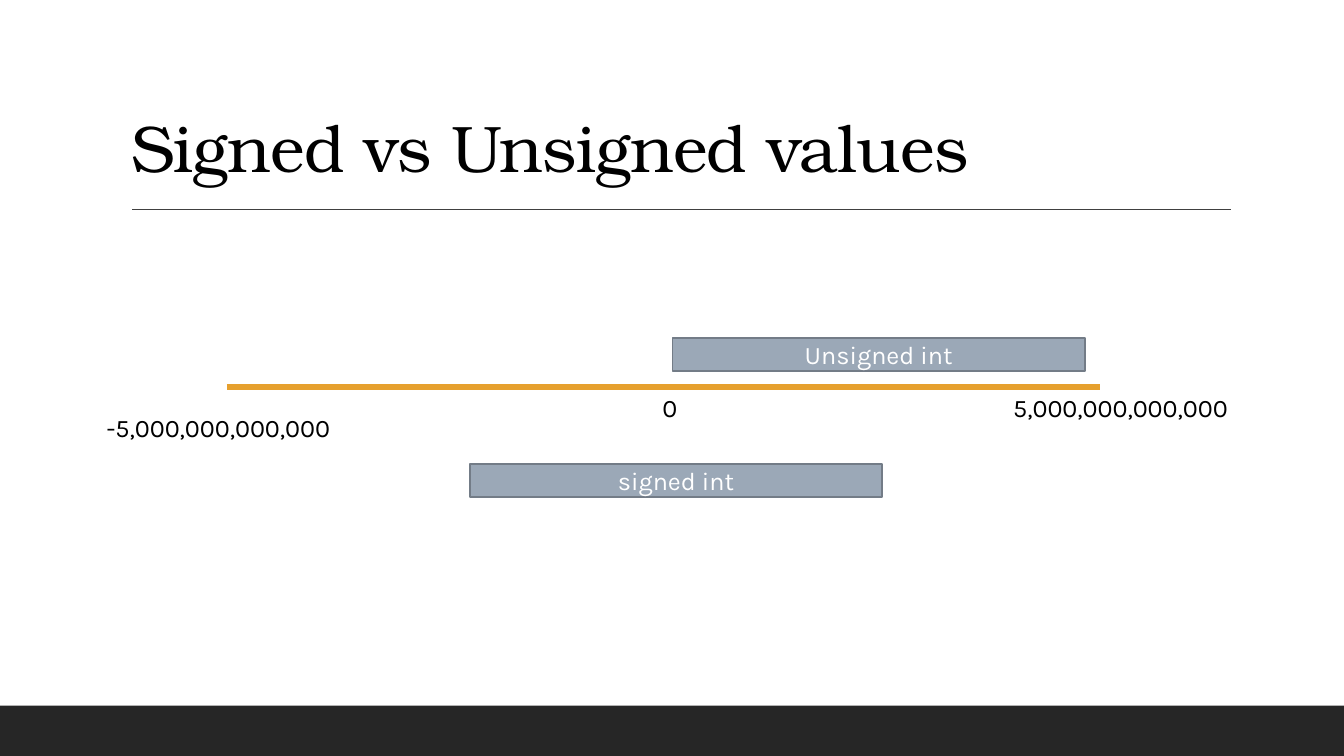
from dataclasses import dataclass

from lxml import etree
from pptx import Presentation
from pptx import util as u
from pptx.dml.color import RGBColor
from pptx.enum import shapes, text
from pptx.oxml.ns import qn

BLACK = RGBColor(0x00, 0x00, 0x00)
WHITE = RGBColor(0xFF, 0xFF, 0xFF)
CHARCOAL = RGBColor(0x26, 0x26, 0x26)
RULE_GREY = RGBColor(0x40, 0x40, 0x40)
AXIS_ORANGE = RGBColor(0xE6, 0xA0, 0x2E)
BAR_FILL = RGBColor(0x9B, 0xA8, 0xB7)
BAR_EDGE = RGBColor(0x73, 0x7C, 0x87)
HEADING_FONT = "TeX Gyre Bonum"
BODY_FONT = "Karla"


@dataclass
class Box:
    left: int
    top: int
    width: int
    height: int

    def inner(self, left, top, width, height=0):
        """Return an inner box given in percent of this one."""
        return Box(
            round(self.left + self.width * left / 100),
            round(self.top + self.height * top / 100),
            round(self.width * width / 100),
            round(self.height * height / 100),
        )

    @property
    def frame(self):
        return self.left, self.top, self.width, self.height


def write(shape, wording, size=18, font=BODY_FONT, color=BLACK,
          align=text.PP_ALIGN.LEFT, anchor=text.MSO_ANCHOR.TOP,
          line_spacing=None, tracking=None):
    frame = shape.text_frame
    frame.word_wrap = True
    frame.vertical_anchor = anchor
    para = frame.paragraphs[0]
    para.alignment = align
    para.line_spacing = line_spacing
    span = para.add_run()
    span.text = wording
    span.font.size = u.Pt(size)
    span.font.name = font
    span.font.color.rgb = color
    if tracking is not None:
        span._r.get_or_add_rPr().set("spc", str(round(tracking * 100)))


def add_rule(page, box, color, weight):
    """Draw a horizontal line along the top of the box."""
    rule = page.shapes.add_connector(
        shapes.MSO_CONNECTOR.STRAIGHT,
        box.left, box.top, box.left + box.width, box.top)
    rule.line.color.rgb = color
    rule.line.width = u.Pt(weight)
    etree.SubElement(rule._element.spPr, qn("a:effectLst"))


def add_bar(page, box, fill, edge=None):
    bar = page.shapes.add_shape(shapes.MSO_SHAPE.RECTANGLE, *box.frame)
    bar.shadow.inherit = False
    bar.fill.solid()
    bar.fill.fore_color.rgb = fill
    if edge is None:
        bar.line.fill.background()
    else:
        bar.line.color.rgb = edge
        bar.line.width = u.Pt(1.25)
    return bar


def add_heading(page, box):
    add_rule(page, box.inner(9.83, 27.73, 81.77), RULE_GREY, 1)
    title = page.shapes.title
    title.left, title.top, title.width, title.height = box.inner(9, 4.13, 82.5, 21.2).frame
    write(title, "Signed vs Unsigned values", size=47, font=HEADING_FONT,
          anchor=text.MSO_ANCHOR.BOTTOM, line_spacing=0.9, tracking=-0.5)
    title.text_frame.auto_size = text.MSO_AUTO_SIZE.NONE


def add_number_line(page, box):
    """Draw the axis with its values and the range of each integer type."""
    axis_top = 31.01
    add_rule(page, box.inner(0, axis_top, 100), AXIS_ORANGE, 4.5)
    values = [
        ("-5,000,000,000,000", -14.9, 43.67, 48.5),
        ("5,000,000,000,000", 88.91, axis_top, 39),
        ("0", 48.73, axis_top, 13.16),
    ]
    for wording, left, top, width in values:
        label = page.shapes.add_textbox(*box.inner(left, top, width, 25.32).frame)
        write(label, wording)
    for wording, left, top in [("Unsigned int", 51.04, 0), ("signed int", 27.83, 79.11)]:
        bar = add_bar(page, box.inner(left, top, 47.2, 20.89), BAR_FILL, BAR_EDGE)
        write(bar, wording, color=WHITE, align=text.PP_ALIGN.CENTER,
              anchor=text.MSO_ANCHOR.MIDDLE)


def main():
    deck = Presentation()
    deck.slide_width, deck.slide_height = u.Inches(13.33), u.Inches(7.5)
    page = deck.slides.add_slide(deck.slide_layouts[5])
    whole = Box(0, 0, deck.slide_width, deck.slide_height)
    add_bar(page, whole.inner(0, 93.33, 100, 6.67), CHARCOAL)
    add_heading(page, whole)
    add_number_line(page, whole.inner(16.88, 44.67, 64.97, 21.07))
    deck.save("out.pptx")


if __name__ == "__main__":
    main()
